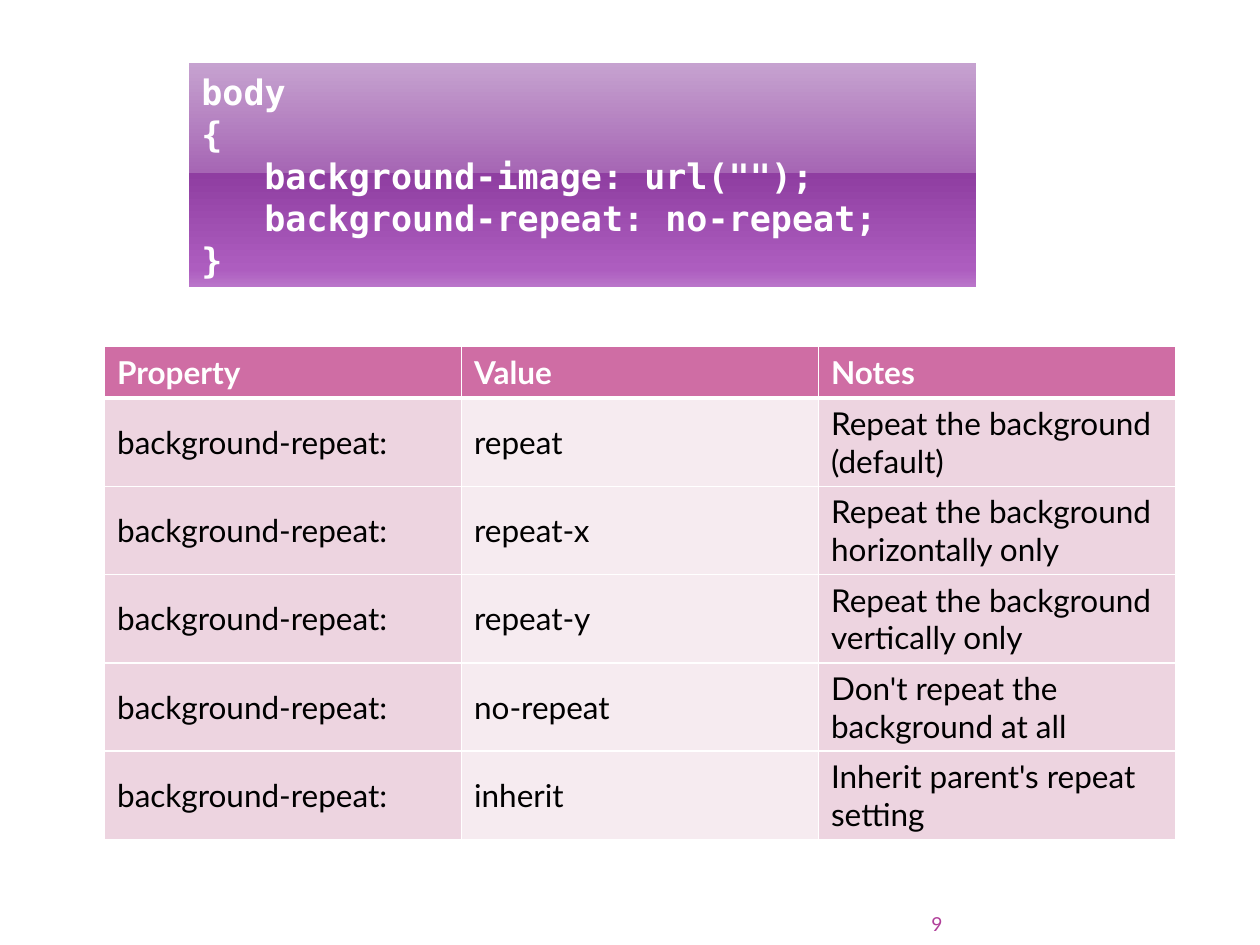
from pptx import Presentation
from pptx.dml.color import RGBColor
from pptx.enum.shapes import MSO_SHAPE as Preset
from pptx.enum.text import MSO_ANCHOR as Anchor, PP_ALIGN as Align
from pptx.oxml.ns import qn
from pptx.util import Inches, Pt
from lxml.etree import SubElement

WHITE = "FFFFFF"
CODE_FORMAT = {"name": "DejaVu Sans Mono", "size": Pt(20), "bold": True, "color": WHITE}
HEADER_FORMAT = {"name": "Lato", "size": Pt(18), "bold": True, "color": WHITE}
BODY_FORMAT = {**HEADER_FORMAT, "bold": False, "color": "000000"}
NUMBER_FORMAT = {"name": "Lato", "size": Pt(11), "color": "B13F9A"}

CODE_STOPS = [(0, "C6A2D0"), (49, "A666B4"), (49, "8F3EA1"), (92, "AD5DBF"), (100, "BA76CA")]
CODE_LINES = [
    "body",
    "{",
    '\tbackground-image: url("");',
    "\tbackground-repeat: no-repeat;",
    "}",
]
HEADER = ("Property", "Value", "Notes")
VALUES = [
    ("repeat", "Repeat the background (default)"),
    ("repeat-x", "Repeat the background horizontally only"),
    ("repeat-y", "Repeat the background vertically only"),
    ("no-repeat", "Don't repeat the background at all"),
    ("inherit", "Inherit parent's repeat setting"),
]
HEADER_FILL = "CF6DA4"
COLUMN_FILLS = ("EDD4E0", "F6EBF0", "EDD4E0")


def rgb(color):
    return RGBColor.from_string(color)


def write(paragraph, text, text_format):
    run = paragraph.add_run()
    run.text = text
    for attribute, value in text_format.items():
        if attribute == "color":
            run.font.color.rgb = rgb(value)
        else:
            setattr(run.font, attribute, value)


def set_gradient(shape, stops):
    """Fill the shape from top to bottom with (percent, colour) stops."""
    shape.fill.gradient()
    shape.fill.gradient_angle = 270
    stop_list = shape._element.spPr.find(qn("a:gradFill")).find(qn("a:gsLst"))
    stop_list.clear()
    for percent, color in stops:
        stop = SubElement(stop_list, qn("a:gs"), pos=str(percent * 1000))
        SubElement(stop, qn("a:srgbClr"), val=color)


def set_borders(cell, widths):
    """Draw white borders; widths maps each side to points."""
    properties = cell._tc.get_or_add_tcPr()
    for side, width in widths.items():
        line = SubElement(properties, qn(f"a:ln{side}"), w=str(Pt(width)))
        fill = SubElement(line, qn("a:solidFill"))
        SubElement(fill, qn("a:srgbClr"), val=WHITE)


def add_code_panel(slide, left, top, width, height):
    panel = slide.shapes.add_shape(Preset.RECTANGLE, left, top, width, height)
    panel.shadow.inherit = False
    panel.line.fill.background()
    set_gradient(panel, CODE_STOPS)
    frame = panel.text_frame
    frame.word_wrap = True
    frame.vertical_anchor = Anchor.MIDDLE
    for index, text in enumerate(CODE_LINES):
        paragraph = frame.add_paragraph() if index else frame.paragraphs[0]
        paragraph.alignment = Align.LEFT
        write(paragraph, text, CODE_FORMAT)


def add_property_table(slide, left, top, width, height):
    rows = [HEADER] + [("background-repeat:", *value) for value in VALUES]
    table = slide.shapes.add_table(len(rows), len(HEADER), left, top, width, height).table
    table.horz_banding = False
    header_height = Inches(0.41)
    body_height = (height - header_height) // len(VALUES)
    for row_index, texts in enumerate(rows):
        is_header = row_index == 0
        table.rows[row_index].height = header_height if is_header else body_height
        # The rule below the header is the only heavy one
        widths = {"L": 1, "R": 1, "T": 3 if row_index == 1 else 1, "B": 3 if is_header else 1}
        for column, text in enumerate(texts):
            cell = table.cell(row_index, column)
            cell.vertical_anchor = Anchor.MIDDLE
            set_borders(cell, widths)
            cell.fill.solid()
            cell.fill.fore_color.rgb = rgb(HEADER_FILL if is_header else COLUMN_FILLS[column])
            write(cell.text_frame.paragraphs[0], text, HEADER_FORMAT if is_header else BODY_FORMAT)


def add_slide_number(slide, left, top, width, height):
    frame = slide.shapes.add_textbox(left, top, width, height).text_frame
    frame.word_wrap = True
    frame.vertical_anchor = Anchor.BOTTOM
    for side in ("left", "top", "right", "bottom"):
        setattr(frame, f"margin_{side}", 0)
    paragraph = frame.paragraphs[0]
    paragraph.alignment = Align.RIGHT
    write(paragraph, "9", NUMBER_FORMAT)


def main():
    presentation = Presentation()
    presentation.slide_width = Inches(10)
    presentation.slide_height = Inches(7.5)
    slide = presentation.slides.add_slide(presentation.slide_layouts[6])

    # Table of values, slide number, then the code sample
    add_property_table(slide, Inches(0.83), Inches(2.75), Inches(8.5), Inches(3.91))
    add_slide_number(slide, Inches(6.84), Inches(7.17), Inches(0.64), Inches(0.25))
    add_code_panel(slide, Inches(1.5), Inches(0.5), Inches(6.25), Inches(1.78))

    presentation.save("out.pptx")


if __name__ == "__main__":
    main()
